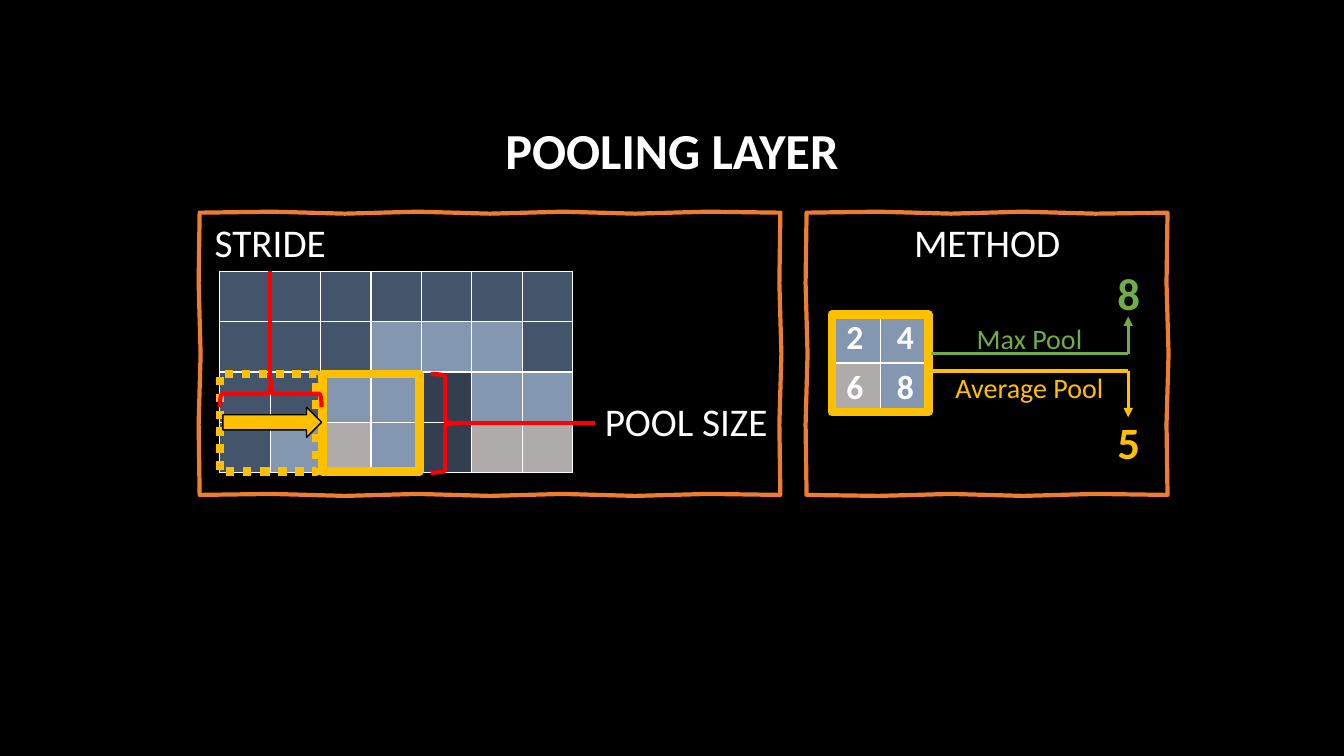
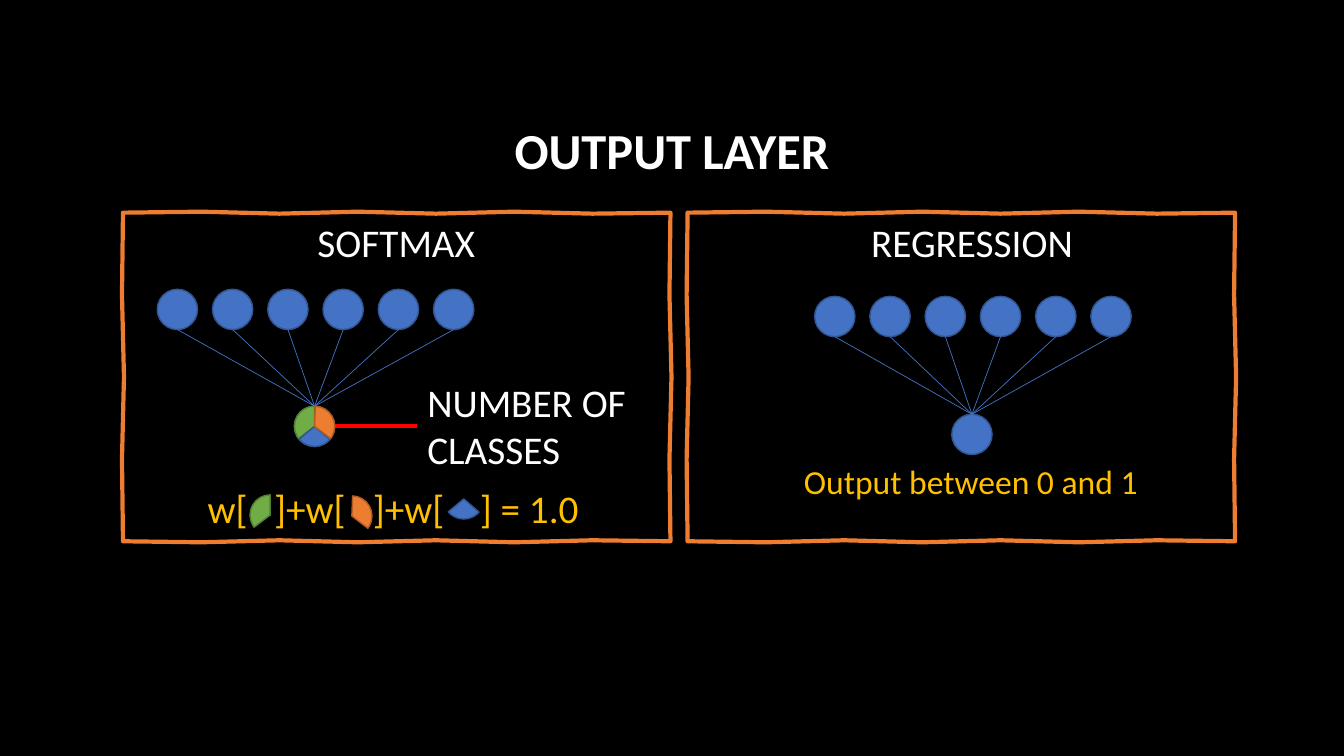
from collections import namedtuple

from lxml.etree import SubElement
from pptx import Presentation
from pptx.dml.color import RGBColor
from pptx.enum.dml import MSO_LINE
from pptx.enum.shapes import MSO_CONNECTOR, MSO_SHAPE
from pptx.enum.text import MSO_ANCHOR, MSO_AUTO_SIZE, PP_ALIGN
from pptx.oxml.ns import qn
from pptx.util import Inches, Pt

COLORS = {
    "black": "000000", "white": "FFFFFF", "red": "FF0000", "gold": "FFC000",
    "green": "70AD47", "green edge": "538035",
    "blue": "4472C4", "blue edge": "325491",
    "orange": "ED7D31", "orange edge": "AF5C24",
    "slate": "44546A", "steel": "8497B0", "navy": "333F50", "grey": "AFABAB",
}
CELL_FILLS = {"s": "slate", "l": "steel", "n": "navy", "g": "grey"}
FORMATS = {
    "title": {"size": Pt(36), "bold": True},
    "heading": {"size": Pt(28), "bold": False},
    "result": {"size": Pt(32), "bold": True},
    "note": {"size": Pt(24), "bold": False},
    "value": {"size": Pt(24), "bold": True},
    "label": {"size": Pt(20), "bold": False},
}
CELL = 0.5
NEURON = 0.4
# Pie adjustments: start and end, in units of 100000 / 60000 degrees
SLICES = {
    "green": (85.71, 162),
    "blue": (24.43, 84.08),
    "orange": (163.3, 22.34),
}

Box = namedtuple("Box", "left top width height")


def rgb(color):
    """Return the named colour."""
    return RGBColor.from_string(COLORS[color])


def within(box, left, top, width, height):
    """Return a box placed relative to the corner of another one."""
    return Box(box.left + left, box.top + top, width, height)


def emu(values):
    """Convert inches to lengths."""
    return [Inches(value) for value in values]


def format_font(font, style, color):
    """Apply one of the shared text formats."""
    for name, value in {"name": "Calibri", **FORMATS[style]}.items():
        setattr(font, name, value)
    font.color.rgb = rgb(color)


def write(slide, box, text, style="heading", color="white", align=PP_ALIGN.CENTER):
    """Add a wrapped text box and return its paragraph."""
    frame = slide.shapes.add_textbox(*emu(box)).text_frame
    frame.word_wrap = True
    frame.auto_size = MSO_AUTO_SIZE.SHAPE_TO_FIT_TEXT
    paragraph = frame.paragraphs[0]
    paragraph.alignment = align
    run = paragraph.add_run()
    run.text = text
    format_font(run.font, style, color)
    return paragraph


def stroke(line, color, width):
    """Set the colour and width of a line."""
    line.color.rgb = rgb(color)
    line.width = Pt(width)


def paint(shape, fill, edge, width):
    """Set fill and outline of a shape, without a shadow."""
    shape.shadow.inherit = False
    if fill:
        shape.fill.solid()
        shape.fill.fore_color.rgb = rgb(fill)
    else:
        shape.fill.background()
    stroke(shape.line, edge, width)
    return shape


def draw(shapes, kind, box, fill, edge, width=1):
    """Add a preset shape."""
    return paint(shapes.add_shape(kind, *emu(box)), fill, edge, width)


def connect(slide, start, end, color, width, arrow=False):
    """Add a straight line, with an arrowhead at its end on request."""
    connector = slide.shapes.add_connector(MSO_CONNECTOR.STRAIGHT, *emu((*start, *end)))
    stroke(connector.line, color, width)
    if arrow:
        SubElement(connector.get_or_add_ln(), qn("a:tailEnd"), type="triangle")
    SubElement(connector.element.spPr, qn("a:effectLst"))


def sketch_frame(slide, box):
    """Outline a panel with a slightly uneven orange line."""
    right, bottom = box.left + box.width, box.top + box.height
    corners = [(box.left, box.top), (right, box.top), (right, bottom), (box.left, bottom)]
    points = []
    for side, (x, y) in enumerate(corners):
        next_x, next_y = corners[(side + 1) % 4]
        horizontal = side % 2 == 0
        steps = round((box.width if horizontal else box.height) / 0.75)
        for step in range(steps):
            waver = 0.01 * (-1) ** step if step else 0
            across, down = (0, waver) if horizontal else (waver, 0)
            t = step / steps
            points.append(emu((x + (next_x - x) * t + across, y + (next_y - y) * t + down)))
    outline = slide.shapes.build_freeform(*points[0])
    outline.add_line_segments(points[1:], close=True)
    paint(outline.convert_to_shape(), None, "orange", 3)


def add_grid(slide, left, top, fills, values=None):
    """Add a table of square cells with white borders."""
    rows, columns = len(fills), len(fills[0])
    box = Box(left, top, columns * CELL, rows * CELL)
    table = slide.shapes.add_table(rows, columns, *emu(box)).table
    table.first_row = table.horz_banding = False
    for row, codes in enumerate(fills):
        for column, code in enumerate(codes):
            cell = table.cell(row, column)
            cell.vertical_anchor = MSO_ANCHOR.MIDDLE
            properties = cell._tc.get_or_add_tcPr()
            for side in "LRTB":
                border = SubElement(properties, qn(f"a:ln{side}"), w=str(Pt(1)))
                solid = SubElement(border, qn("a:solidFill"))
                SubElement(solid, qn("a:srgbClr"), val=COLORS["white"])
            cell.fill.solid()
            cell.fill.fore_color.rgb = rgb(CELL_FILLS[code])
            if values:
                paragraph = cell.text_frame.paragraphs[0]
                paragraph.alignment = PP_ALIGN.CENTER
                run = paragraph.add_run()
                run.text = values[row][column]
                format_font(run.font, "value", "white")


def add_titled_slide(deck, text):
    """Add a slide with the shared title."""
    slide = deck.slides.add_slide(deck.slide_layouts[5])
    title = slide.shapes.title
    title.left, title.top, title.width, title.height = emu((3.54, 1.13, 6.25, 0.71))
    title.text_frame.text = text
    paragraph = title.text_frame.paragraphs[0]
    paragraph.alignment = PP_ALIGN.CENTER
    format_font(paragraph.runs[0].font, "title", "white")
    return slide


def stride_panel(slide, box):
    """Show the pooling window stepping over the input grid."""
    shapes = slide.shapes
    add_grid(slide, box.left + 0.2, box.top + 0.58,
             ["sssssss", "sssllls", "ssllnll", "slglngg"])
    previous = draw(shapes, MSO_SHAPE.RECTANGLE,
                    within(box, 0.2, 1.6, 0.96, 0.97), None, "gold", 6)
    previous.line.dash_style = MSO_LINE.ROUND_DOT
    draw(shapes, MSO_SHAPE.RECTANGLE, within(box, 1.22, 1.6, 0.96, 0.97), None, "gold", 6)
    draw(shapes, MSO_SHAPE.RIGHT_BRACE, within(box, 2.29, 1.6, 0.29, 0.98), None, "red", 3)
    size_y = box.top + 2.09
    connect(slide, (box.left + 2.58, size_y), (box.left + 3.92, size_y), "red", 3)
    write(slide, within(box, 3.92, 1.78, 2.1, 0.57), "POOL SIZE", align=PP_ALIGN.LEFT)
    draw(shapes, MSO_SHAPE.RIGHT_ARROW, within(box, 0.23, 1.93, 0.98, 0.3), "gold", "black")
    stride_brace = draw(shapes, MSO_SHAPE.RIGHT_BRACE,
                        within(box, 0.57, 1.29, 0.27, 1.01), None, "red", 3)
    stride_brace.rotation = 270
    stride_x = box.left + 0.7
    connect(slide, (stride_x, box.top + 1.66), (stride_x, box.top + 0.58), "red", 3)
    write(slide, within(box, -0.35, 0.01, 2.1, 0.57), "STRIDE")
    sketch_frame(slide, box)


def method_panel(slide, box):
    """Show what max and average pooling make of one window."""
    write(slide, within(box, 0.52, 0.01, 2.54, 0.57), "METHOD")
    sketch_frame(slide, box)
    add_grid(slide, box.left + 0.23, box.top + 0.99, ["ll", "gl"], ["24", "68"])
    draw(slide.shapes, MSO_SHAPE.RECTANGLE,
         within(box, 0.25, 1.01, 0.96, 0.97), None, "gold", 6)
    methods = [
        ("Max Pool", "8", "green", 1.4, 1.03, 1.03, 0.48),
        ("Average Pool", "5", "gold", 1.57, 2.03, 1.52, 1.96),
    ]
    for name, result, color, branch, tip, name_top, result_top in methods:
        bend = (box.left + 3.19, box.top + branch)
        connect(slide, (box.left + 1.23, bend[1]), bend, color, 2.25)
        connect(slide, bend, (bend[0], box.top + tip), color, 2.25, arrow=True)
        write(slide, within(box, 1.3, name_top, 1.82, 0.44), name, "label", color)
        write(slide, within(box, 2.81, result_top, 0.77, 0.64), result, "result", color)


def network(slide, box):
    """Join a row of neurons to one output neuron and return its box."""
    count = 6
    pitch = (box.width - NEURON) / (count - 1)
    output = within(box, 1.36, box.height - NEURON, NEURON, NEURON)
    neurons = [within(box, i * pitch, 0, NEURON, NEURON) for i in range(count)]
    for neuron in [*neurons, output]:
        draw(slide.shapes, MSO_SHAPE.OVAL, neuron, "blue", "blue edge")
    for neuron in neurons:
        connect(slide, (output.left + NEURON / 2, output.top),
                (neuron.left + NEURON / 2, neuron.top + NEURON), "blue", 0.5)
    return output


def draw_slice(shapes, color, box):
    """Add the pie slice of one class."""
    part = draw(shapes, MSO_SHAPE.PIE, box, color, f"{color} edge")
    for index, value in enumerate(SLICES[color]):
        part.adjustments[index] = value


def softmax_panel(slide, box):
    """Show an output shared among classes whose weights add up to one."""
    write(slide, within(box, 1.44, 0.01, 2.54, 0.57), "SOFTMAX")
    sketch_frame(slide, box)
    output = network(slide, within(box, 0.34, 0.76, 3.14, 1.56))
    classes_y = output.top + NEURON / 2
    connect(slide, (output.left + NEURON, classes_y), (box.left + 2.92, classes_y), "red", 3)
    write(slide, within(box, 2.92, 1.59, 2.29, 1.04), "NUMBER OF CLASSES",
          align=PP_ALIGN.LEFT)
    classes = slide.shapes.add_group_shape()
    for color in SLICES:
        draw_slice(classes.shapes, color, output)
    terms = [("green", 1.26, 2.8), ("blue", 3.18, 2.64), ("orange", 2.07, 2.81)]
    for color, left, top in terms:
        draw_slice(slide.shapes, color, within(box, left, top, NEURON, NEURON))
    weights = write(slide, within(box, 0.74, 2.65, 4.08, 0.57),
                    "w[\t]+w[\t]+w[\t] = 1.0", color="gold", align=PP_ALIGN.LEFT)
    stops = SubElement(weights._p.get_or_add_pPr(), qn("a:tabLst"))
    for position in (0.66, 1.64, 2.7):
        SubElement(stops, qn("a:tab"), pos=str(Inches(position)), algn="l")


def regression_panel(slide, box):
    """Show a single output value."""
    write(slide, within(box, 1.55, 0.01, 2.54, 0.57), "REGRESSION")
    sketch_frame(slide, box)
    network(slide, within(box, 1.26, 0.83, 3.14, 1.57))
    write(slide, within(box, 0.44, 2.41, 4.74, 0.5), "Output between 0 and 1",
          "note", "gold")


def main():
    """Build and save the deck."""
    deck = Presentation()
    deck.slide_width, deck.slide_height = emu((13.33, 7.5))
    backdrop = deck.slide_master.background.fill
    backdrop.solid()
    backdrop.fore_color.rgb = rgb("black")

    pooling = add_titled_slide(deck, "POOLING LAYER")
    stride_panel(pooling, Box(1.98, 2.11, 5.76, 2.8))
    method_panel(pooling, Box(8, 2.11, 3.58, 2.8))

    output = add_titled_slide(deck, "OUTPUT LAYER")
    softmax_panel(output, Box(1.22, 2.11, 5.43, 3.26))
    regression_panel(output, Box(6.82, 2.11, 5.43, 3.26))
    deck.save("out.pptx")


main()
